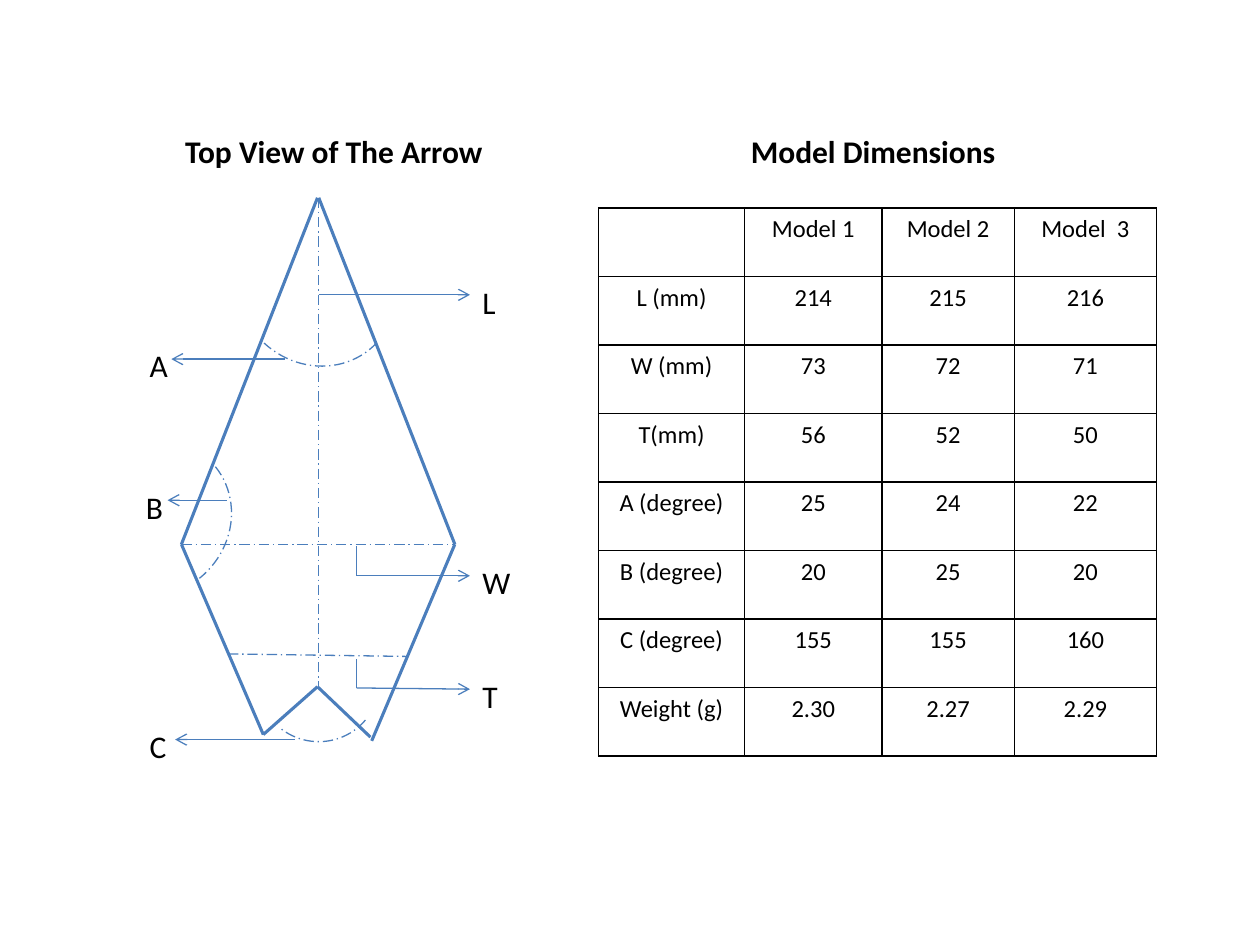
from typing import NamedTuple

from lxml import etree
from pptx import Presentation
from pptx.dml.color import RGBColor
from pptx.enum.dml import MSO_LINE
from pptx.enum.shapes import MSO_CONNECTOR, MSO_SHAPE
from pptx.enum.text import PP_ALIGN
from pptx.oxml.ns import qn
from pptx.util import Inches, Pt

BLUE, BLACK = "4B7EBC", "000000"
FONT = "Calibri"
THIN, THICK = 0.75, 1.75

# Key positions of the arrow outline, in inches
AXIS, LEFT, RIGHT = 2.53, 1.44, 3.61
TIP, SHOULDER, NOTCH = 1.57, 4.32, 5.45
LEADER_X, LEADER_END = 2.83, 3.73


class Line(NamedTuple):
    """A straight line between two points."""
    x1: float
    y1: float
    x2: float
    y2: float
    width: float = THIN
    dashed: bool = False
    arrow: bool = False


class Arc(NamedTuple):
    """A dashed quarter arc that marks an angle."""
    x: float
    y: float
    w: float
    h: float
    rotation: float


class Label(NamedTuple):
    """A text box with one run."""
    text: str
    x: float
    y: float
    w: float = 0.3
    h: float = 0.29
    bold: bool = False
    align: PP_ALIGN = PP_ALIGN.LEFT


OUTLINE = [
    Line(AXIS, TIP, RIGHT, SHOULDER, THICK),
    Line(RIGHT, SHOULDER, 2.95, 5.88, THICK),
    Line(2.94, 5.85, AXIS - 0.01, NOTCH, THICK),
    Line(AXIS - 0.01, TIP, LEFT, SHOULDER, THICK),
    Line(LEFT, SHOULDER, 2.09, 5.83, THICK),
    Line(2.09, 5.83, AXIS - 0.01, NOTCH, THICK),
]
MEASURES = [
    Line(AXIS, TIP, AXIS, NOTCH, dashed=True),
    Line(LEFT, SHOULDER, RIGHT, SHOULDER, dashed=True),
    Line(1.81, 5.19, 3.24, 5.21, dashed=True),
]
LEADERS = [
    Line(AXIS, 2.34, LEADER_END, 2.34, arrow=True),
    Line(LEADER_X, 4.57, LEADER_END, 4.57, arrow=True),
    Line(LEADER_X, 5.46, LEADER_END, 5.47, arrow=True),
    Line(LEADER_X, 4.57, LEADER_X, 4.33),
    Line(LEADER_X, 5.46, LEADER_X, 5.23),
    Line(2.26, 2.85, 1.36, 2.85, arrow=True),
    Line(1.8, 3.97, 1.33, 3.97, arrow=True),
    Line(2.34, 5.87, 1.39, 5.87, arrow=True),
]
ARCS = [
    Arc(1.9, 1.62, 1.22, 1.31, 132.8),
    Arc(0.59, 3.46, 1.22, 1.31, 51.1),
    Arc(2.04, 4.91, 0.97, 0.98, 130.1),
]
LABELS = [
    Label("L", LEADER_END, 2.2), Label("W", LEADER_END, 4.42),
    Label("T", LEADER_END, 5.32), Label("A", 1.09, 2.7),
    Label("B", 1.06, 3.82), Label("C", 1.09, 5.72),
]
HEADINGS = [
    Label(text, x, 1, 3.52, 0.4, True, PP_ALIGN.CENTER)
    for text, x in (("Top View of The Arrow", 0.89), ("Model Dimensions", 5.17))
]
COLUMNS = [1.16, 1.09, 1.05, 1.13]
TABLE_X, TABLE_Y, TABLE_H = 4.75, 1.65, 4.35
ROWS = [
    ("", "Model 1", "Model 2", "Model  3"),
    ("L (mm)", "214", "215", "216"),
    ("W (mm)", "73", "72", "71"),
    ("T(mm)", "56", "52", "50"),
    ("A (degree)", "25", "24", "22"),
    ("B (degree)", "20", "25", "20"),
    ("C (degree)", "155", "155", "160"),
    ("Weight (g)", "2.30", "2.27", "2.29"),
]


def rgb(color: str) -> RGBColor:
    """Turn a hex string into a colour."""
    return RGBColor.from_string(color)


def style_line(line, width: float, dashed: bool) -> None:
    """Set the colour, width and dash of a line."""
    line.color.rgb = rgb(BLUE)
    line.width = Pt(width)
    if dashed:
        line.dash_style = MSO_LINE.LONG_DASH_DOT


def write(p, text: str, size: float, align: PP_ALIGN, bold: bool = False) -> None:
    """Add one formatted run to a paragraph."""
    p.alignment = align
    r = p.add_run()
    r.text = text
    r.font.name, r.font.size, r.font.bold = FONT, Pt(size), bold
    r.font.color.rgb = rgb(BLACK)


def draw_line(shapes, item: Line) -> None:
    """Draw a line, with an arrowhead where asked."""
    ends = [Inches(v) for v in item[:4]]
    sp = shapes.add_connector(MSO_CONNECTOR.STRAIGHT, *ends)
    style_line(sp.line, item.width, item.dashed)
    if item.arrow:
        ln = sp.line._get_or_add_ln()
        etree.SubElement(ln, qn("a:tailEnd"), type="arrow")
    etree.SubElement(sp._element.spPr, qn("a:effectLst"))


def draw_arc(shapes, item: Arc) -> None:
    """Draw an angle mark."""
    sp = shapes.add_shape(MSO_SHAPE.ARC, *[Inches(v) for v in item[:4]])
    sp.rotation = item.rotation
    sp.shadow.inherit = False
    sp.fill.background()
    style_line(sp.line, THIN, True)


def draw_label(shapes, item: Label) -> None:
    """Draw a label or heading."""
    sp = shapes.add_textbox(*[Inches(v) for v in item[1:5]])
    tf = sp.text_frame
    tf.word_wrap = True
    write(tf.paragraphs[0], item.text, 18, item.align, item.bold)


def add_borders(cell) -> None:
    """Put a black 1 pt border on all sides of a cell."""
    tc_pr = cell._tc.get_or_add_tcPr()
    for i, side in enumerate(("lnL", "lnR", "lnT", "lnB")):
        ln = etree.Element(qn(f"a:{side}"), w=str(Pt(1)))
        fill = etree.SubElement(ln, qn("a:solidFill"))
        etree.SubElement(fill, qn("a:srgbClr"), val=BLACK)
        tc_pr.insert(i, ln)


def draw_table(shapes) -> None:
    """Draw the table of model dimensions."""
    frame = shapes.add_table(len(ROWS), len(COLUMNS), Inches(TABLE_X), Inches(TABLE_Y),
                             Inches(sum(COLUMNS)), Inches(TABLE_H))
    table = frame.table
    table.first_row = table.horz_banding = False
    for column, width in zip(table.columns, COLUMNS):
        column.width = Inches(width)
    for i, values in enumerate(ROWS):
        for j, value in enumerate(values):
            cell = table.cell(i, j)
            cell.fill.background()
            add_borders(cell)
            if value:
                write(cell.text_frame.paragraphs[0], value, 14, PP_ALIGN.CENTER)


def main() -> None:
    """Build and save the slide."""
    prs = Presentation()
    prs.slide_width, prs.slide_height = Inches(10), Inches(7.5)
    s = prs.slides.add_slide(prs.slide_layouts[6])
    draw_table(s.shapes)
    diagram = s.shapes.add_group_shape().shapes
    for arc in ARCS:
        draw_arc(diagram, arc)
    for line in OUTLINE + MEASURES + LEADERS:
        draw_line(diagram, line)
    for label in LABELS:
        draw_label(diagram, label)
    for heading in HEADINGS:
        draw_label(s.shapes, heading)
    prs.save("out.pptx")


main()
